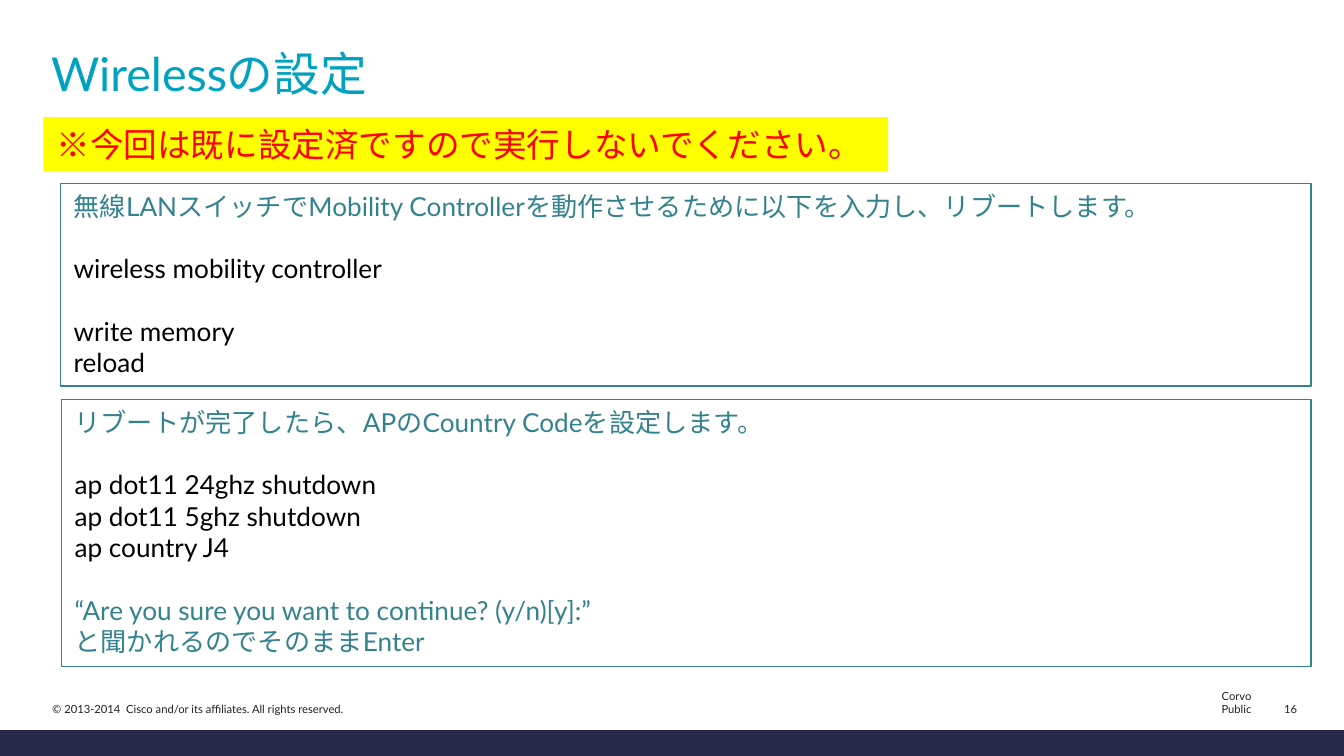
"""Build the wireless setup slide with its notice and command boxes."""
import pptx
import pptx.dml.color
import pptx.enum.shapes
import pptx.enum.text
import pptx.oxml.ns
import pptx.util

Pt = pptx.util.Pt
ANCHOR = pptx.enum.text.MSO_ANCHOR
ALIGN = pptx.enum.text.PP_ALIGN

FONT = "Lato"
BODY_SIZE = 14
BLANK_LINE = 16.8
COLORS = {
    "title": "00A2BF",
    "notice": "FF0000",
    "highlight": "FFFF00",
    "teal": "33828D",
    "command": "000000",
    "footer": "231F20",
    "bar": "262847",
}
REBOOT_GROUPS = [
    ("teal", ["無線LANスイッチでMobility Controllerを動作させるために以下を入力し、リブートします。"]),
    ("command", ["wireless mobility controller"]),
    ("command", ["write memory", "reload"]),
]
COUNTRY_GROUPS = [
    ("teal", ["リブートが完了したら、APのCountry Codeを設定します。"]),
    ("command", ["ap dot11 24ghz shutdown", "ap dot11 5ghz shutdown", "ap country J4"]),
    ("teal", ["“Are you sure you want to continue? (y/n)[y]:”", "と聞かれるのでそのままEnter"]),
]


def rgb(name):
    return pptx.dml.color.RGBColor.from_string(COLORS[name])


def write_paragraph(paragraph, text, size, color, align=ALIGN.LEFT):
    paragraph.text = text
    paragraph.alignment = align
    for run in paragraph.runs:
        run.font.name = FONT
        run.font.size = Pt(size)
        run.font.color.rgb = rgb(color)


def set_title(slide, text):
    title = slide.shapes.title
    title.left, title.top, title.width, title.height = Pt(20.2), Pt(23.8), Pt(681.8), Pt(41.8)
    title.text_frame.vertical_anchor = ANCHOR.TOP
    title.text_frame.word_wrap = True
    write_paragraph(title.text_frame.paragraphs[0], text, 25, "title")
    title.text_frame.paragraphs[0].line_spacing = 0.9


def add_rectangle(slide, left, top, width, height):
    shape = slide.shapes.add_shape(
        pptx.enum.shapes.MSO_SHAPE.RECTANGLE, Pt(left), Pt(top), Pt(width), Pt(height))
    shape.shadow.inherit = False
    shape.text_frame.word_wrap = True
    shape.text_frame.vertical_anchor = ANCHOR.TOP
    return shape


def add_notice(slide, text):
    shape = add_rectangle(slide, 23.2, 62.7, 452.6, 29)
    shape.fill.solid()
    shape.fill.fore_color.rgb = rgb("highlight")
    shape.line.fill.background()
    write_paragraph(shape.text_frame.paragraphs[0], text, 18, "notice")


def add_command_box(slide, left, top, width, height, groups):
    shape = add_rectangle(slide, left, top, width, height)
    shape.fill.background()
    shape.line.color.rgb = rgb("teal")
    shape.line.width = Pt(0.75)
    frame = shape.text_frame
    paragraph = frame.paragraphs[0]
    for group_index, (color, lines) in enumerate(groups):
        for line_index, line in enumerate(lines):
            if group_index or line_index:
                paragraph = frame.add_paragraph()
            write_paragraph(paragraph, line, BODY_SIZE, color)
            if group_index and not line_index:
                paragraph.space_before = Pt(BLANK_LINE)


def add_footer(slide, left, width, text, align):
    box = slide.shapes.add_textbox(Pt(left), Pt(373.7), Pt(width), Pt(12.2))
    frame = box.text_frame
    frame.word_wrap = align == ALIGN.LEFT
    frame.vertical_anchor = ANCHOR.BOTTOM
    frame.margin_left = frame.margin_right = Pt(5)
    frame.margin_top = frame.margin_bottom = Pt(2.2)
    write_paragraph(frame.paragraphs[0], text, 6, "footer", align)


def add_bottom_bar(slide):
    bar = slide.shapes.add_connector(
        pptx.enum.shapes.MSO_CONNECTOR.STRAIGHT, Pt(0), Pt(398), Pt(720), Pt(398))
    bar.line.color.rgb = rgb("bar")
    bar.line.width = Pt(14)
    bar._element.spPr.append(pptx.oxml.parse_xml(
        f"<a:effectLst {pptx.oxml.ns.nsdecls('a')}/>"))


def main():
    presentation = pptx.Presentation()
    presentation.slide_width, presentation.slide_height = Pt(720), Pt(405)
    slide = presentation.slides.add_slide(presentation.slide_layouts[5])
    add_bottom_bar(slide)
    add_footer(slide, 632.2, 43.2, "Corvo Public", ALIGN.RIGHT)
    add_footer(slide, 682.6, 17.3, "16", ALIGN.RIGHT)
    add_footer(slide, 23, 269.3,
               "© 2013-2014  Cisco and/or its affiliates. All rights reserved.", ALIGN.LEFT)
    set_title(slide, "Wirelessの設定")
    add_notice(slide, "※今回は既に設定済ですので実行しないでください。")
    add_command_box(slide, 32.4, 98.2, 670, 108.7, REBOOT_GROUPS)
    add_command_box(slide, 32.9, 214, 669.5, 143, COUNTRY_GROUPS)
    presentation.save("out.pptx")


if __name__ == "__main__":
    main()
